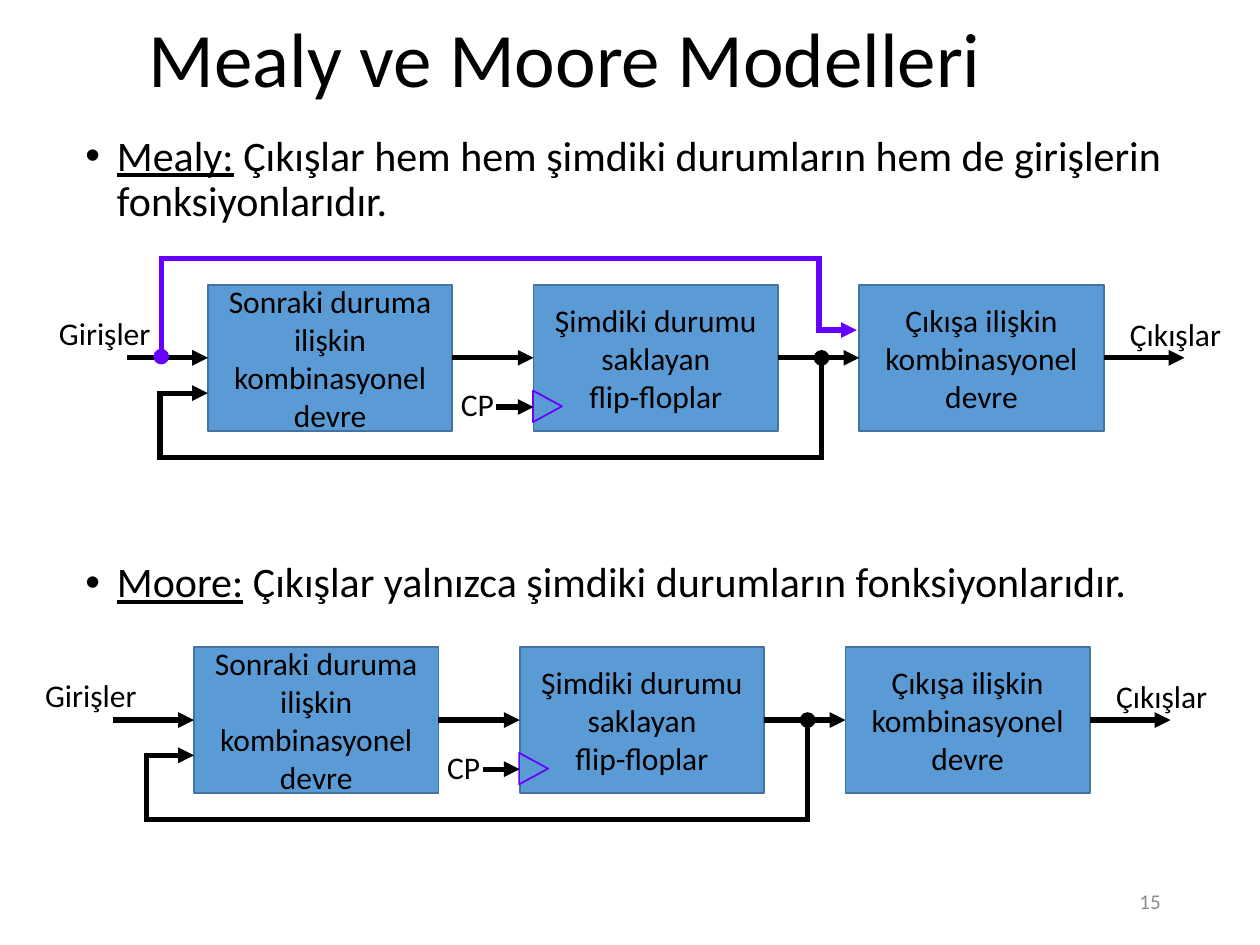
from lxml.etree import SubElement as Sub
from pptx import Presentation
from pptx.dml.color import RGBColor
from pptx.enum.shapes import MSO_CONNECTOR as Link, MSO_SHAPE as Kind
from pptx.enum.text import MSO_ANCHOR as Anchor, MSO_AUTO_SIZE as Auto, PP_ALIGN as Align
from pptx.oxml.ns import qn
from pptx.util import Inches, Pt

BLACK = RGBColor(0x00, 0x00, 0x00)
GREY = RGBColor(0x8C, 0x8C, 0x8C)
BLUE = RGBColor(0x5B, 0x9B, 0xD5)
EDGE = RGBColor(0x43, 0x73, 0x9E)
VIOLET = RGBColor(0x66, 0x00, 0xFF)

COLS, ROWS = 100, 75
STAGES = (
    "Sonraki duruma ilişkin kombinasyonel devre",
    "Şimdiki durumu saklayan\nflip-floplar",
    "Çıkışa ilişkin kombinasyonel devre",
)
LEFT, STEP, WIDE, TOP, HIGH = 16.5, 25.85, 19.4, 22.6, 11.6
MID = TOP + HIGH / 2


def write(frame, text, *, lead="", size=18, color=BLACK, align=Align.LEFT,
          tight=1.0, before=0, bullet=False):
    """Add one paragraph; lead is its underlined opening."""
    para = frame.paragraphs[0]
    if para.runs:
        para = frame.add_paragraph()
    para.alignment = align
    para.line_spacing = tight
    para.space_before = Pt(before)
    for part in filter(None, (lead, text)):
        run = para.add_run()
        run.text = part
        font = run.font
        font.name, font.size = "Calibri", Pt(size)
        font.underline = part == lead
        font.color.rgb = color
    if bullet:
        props = para._p.get_or_add_pPr()
        props.set("marL", str(Inches(0.25)))
        props.set("indent", str(-Inches(0.25)))
        Sub(props, qn("a:buFont"), typeface="Arial")
        Sub(props, qn("a:buChar"), char="•")


class Sketch:
    """Draws on a slide in grid cells, shifted by the current origin."""

    def __init__(self, deck):
        self.deck = deck
        self.slide = deck.slides.add_slide(deck.slide_layouts[6])
        self.shapes = self.slide.shapes
        self.dx = self.dy = 0

    def spot(self, col, row):
        return (round((col + self.dx) * self.deck.slide_width / COLS),
                round((row + self.dy) * self.deck.slide_height / ROWS))

    def size(self, wide, high):
        return (round(wide * self.deck.slide_width / COLS),
                round(high * self.deck.slide_height / ROWS))

    def text(self, col, row, wide, high, anchor=Anchor.TOP):
        box = self.shapes.add_textbox(*self.spot(col, row), *self.size(wide, high))
        frame = box.text_frame
        frame.word_wrap = True
        frame.vertical_anchor = anchor
        return frame

    def label(self, col, row, wide, text):
        frame = self.text(col, row, wide, 4)
        frame.word_wrap = False
        frame.auto_size = Auto.SHAPE_TO_FIT_TEXT
        write(frame, text)

    def shape(self, kind, col, row, wide, high, edge):
        item = self.shapes.add_shape(kind, *self.spot(col, row), *self.size(wide, high))
        item.shadow.inherit = False
        item.fill.solid()
        item.fill.fore_color.rgb = BLUE
        item.line.color.rgb = edge
        item.line.width = Pt(1)
        return item

    def stage(self, col, text):
        box = self.shape(Kind.RECTANGLE, col, TOP, WIDE, HIGH, EDGE)
        box.text_frame.word_wrap = True
        box.text_frame.vertical_anchor = Anchor.MIDDLE
        for line in text.split("\n"):
            write(box.text_frame, line, align=Align.CENTER)
        return box

    def stroke(self, item, color=BLACK, dot=False):
        item.line.color.rgb = color
        item.line.width = Pt(3)
        line = item.line._get_or_add_ln()
        Sub(line, qn("a:miter"), lim="800000")
        if dot:
            Sub(line, qn("a:headEnd"), type="oval")
        Sub(line, qn("a:tailEnd"), type="triangle")

    def arrow(self, start, end, source=None, target=None):
        """Draw an arrow, leaving a box on its right or entering one on its left."""
        item = self.shapes.add_connector(Link.STRAIGHT, *self.spot(*start), *self.spot(*end))
        if source:
            item.begin_connect(source, 3)
        if target:
            item.end_connect(target, 1)
        self.stroke(item)
        Sub(item._element.spPr, qn("a:effectLst"))

    def route(self, points, color=BLACK):
        """Draw a bent wire from a dot to an arrowhead."""
        first, *rest = [self.spot(*point) for point in points]
        path = self.shapes.build_freeform(*first)
        path.add_line_segments(rest, close=False)
        item = path.convert_to_shape()
        item.shadow.inherit = False
        item.fill.background()
        self.stroke(item, color, dot=True)

    def model(self, dx=0, dy=0, mealy=False):
        self.dx, self.dy = dx, dy
        lefts = [LEFT + i * STEP for i in range(len(STAGES))]
        boxes = [self.stage(col, text) for col, text in zip(lefts, STAGES)]
        self.arrow((10.1, MID), (LEFT, MID), target=boxes[0])
        for col, one, two in zip(lefts, boxes, boxes[1:]):
            self.arrow((col + WIDE, MID), (col + STEP, MID), one, two)
        self.arrow((lefts[-1] + WIDE, MID), (94, MID), source=boxes[-1])
        self.route([(65.2, MID), (65.2, 36.3), (12.7, 36.3), (12.7, 31.2), (LEFT, 31.2)])
        if mealy:
            self.route([(12.8, 28.3), (12.8, 20.5), (65, 20.5), (65, 26.2), (68, 26.2)], VIOLET)
        clock = self.shape(Kind.ISOSCELES_TRIANGLE, 42.2, 31.1, 2.5, 2.3, VIOLET)
        clock.rotation = 90
        self.arrow((39.4, 32.3), (lefts[1], 32.3))
        self.label(35.6, 30.1, 4.7, "CP")
        self.label(3.7, 24.4, 9.3, "Girişler")
        self.label(88.7, 24.5, 9.3, "Çıkışlar")


def main():
    deck = Presentation()
    deck.slide_width, deck.slide_height = Inches(10), Inches(7.5)
    page = Sketch(deck)
    title = page.text(10.8, 0.8, 86.9, 8.3, Anchor.MIDDLE)
    write(title, "Mealy ve Moore Modelleri", size=44, tight=0.9)
    body = page.text(5.8, 10.2, 87.9, 48.8)
    style = dict(size=24, tight=0.9, bullet=True)
    write(body, " Çıkışlar hem hem şimdiki durumların hem de girişlerin fonksiyonlarıdır.",
          lead="Mealy:", before=10, **style)
    write(body, " Çıkışlar yalnızca şimdiki durumların fonksiyonlarıdır.",
          lead="Moore:", before=192, **style)
    number = page.text(70.6, 69.5, 22.5, 4, Anchor.MIDDLE)
    write(number, "15", size=12, color=GREY, align=Align.RIGHT)
    page.model(mealy=True)
    page.model(dx=-1.1, dy=28.75)
    deck.save("out.pptx")


if __name__ == "__main__":
    main()
